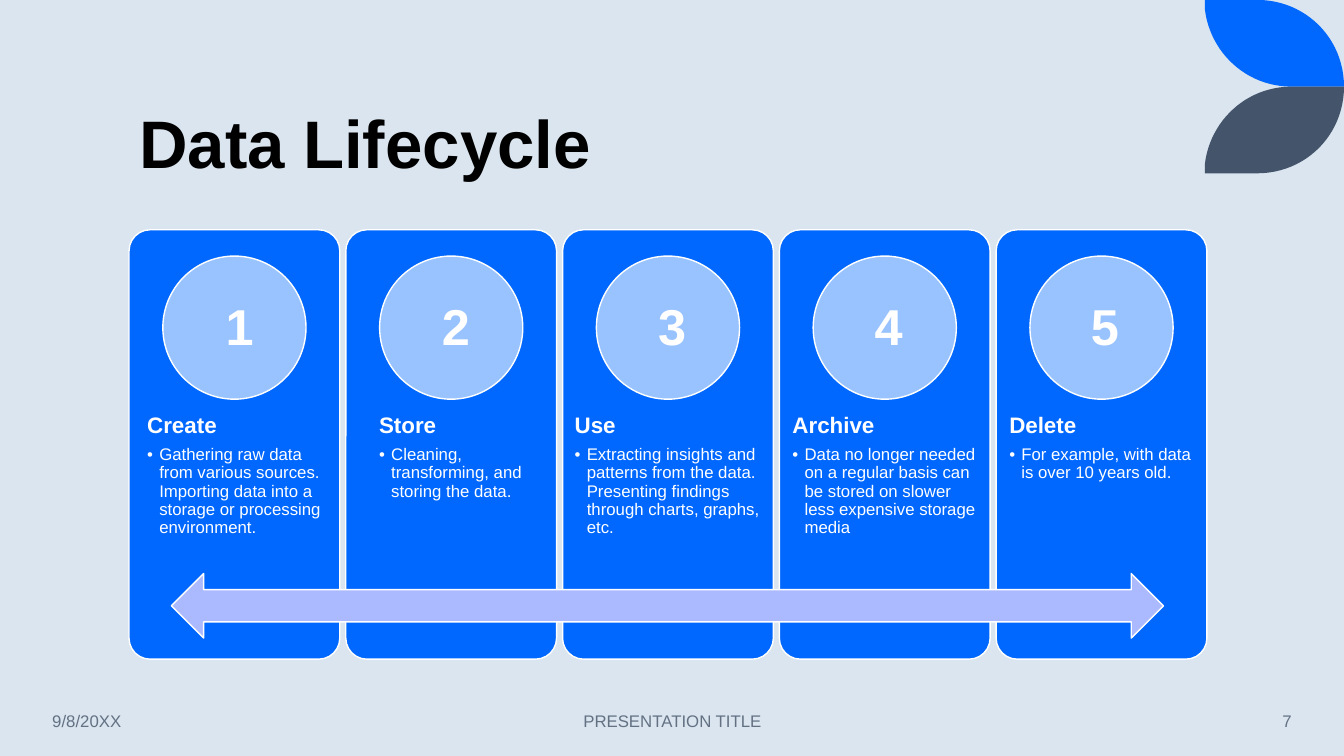
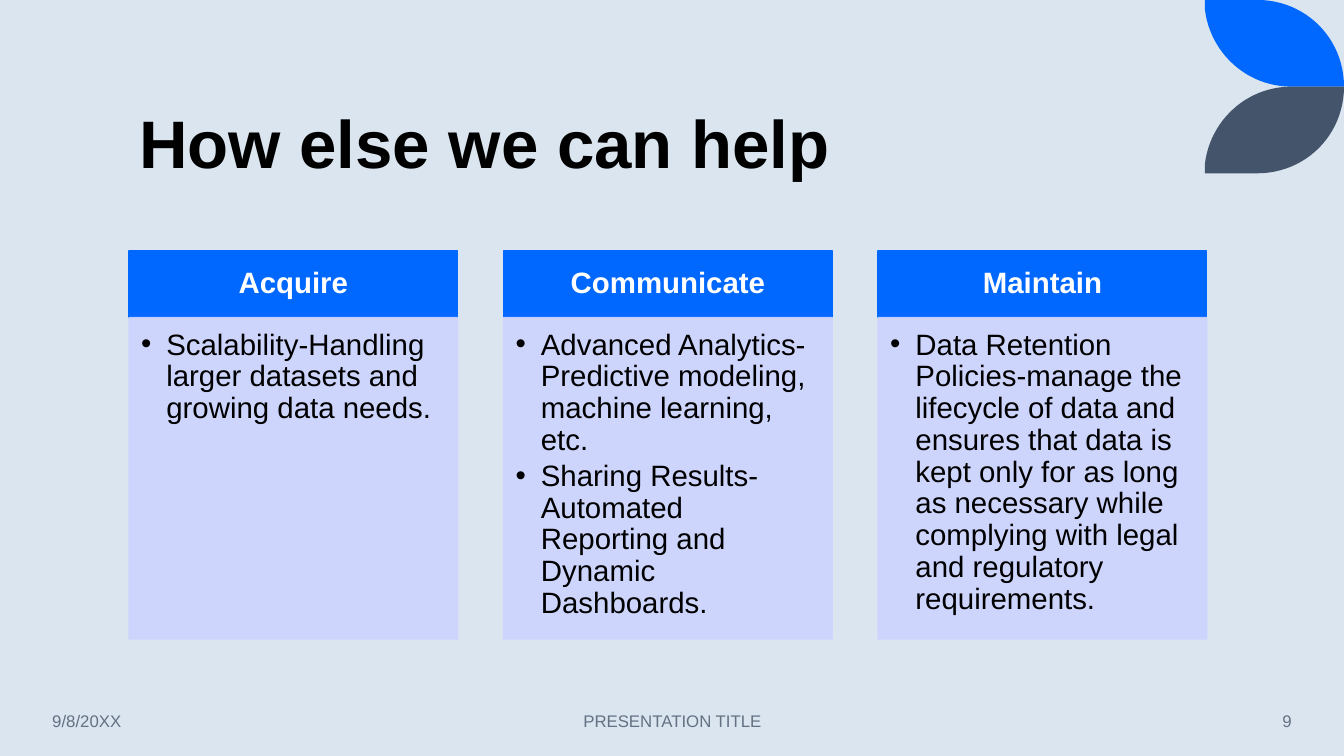
"""Build two slides on the data lifecycle and on further services."""
from lxml import etree
from pptx import Presentation
from pptx.dml.color import RGBColor
from pptx.enum.shapes import MSO_SHAPE
from pptx.enum.text import MSO_ANCHOR, MSO_AUTO_SIZE, PP_ALIGN
from pptx.oxml.ns import qn
from pptx.util import Inches, Pt

TOP, MIDDLE, BOTTOM = MSO_ANCHOR.TOP, MSO_ANCHOR.MIDDLE, MSO_ANCHOR.BOTTOM
LEFT, CENTER, RIGHT = PP_ALIGN.LEFT, PP_ALIGN.CENTER, PP_ALIGN.RIGHT
RECTANGLE, ROUNDED = MSO_SHAPE.RECTANGLE, MSO_SHAPE.ROUNDED_RECTANGLE
OVAL, DOUBLE_ARROW = MSO_SHAPE.OVAL, MSO_SHAPE.LEFT_RIGHT_ARROW

FONT = "Arial"
COLORS = {
    "background": "DAE5EF",
    "blue": "0068FF",
    "slate": "44546A",
    "sky": "99C3FF",
    "periwinkle": "ABB9FF",
    "lavender": "CCD4FF",
    "white": "FFFFFF",
    "black": "000000",
    "footer": "637183",
}

LIFECYCLE_TITLE = "Data Lifecycle"
STAGES = [
    ("Create", "Gathering raw data from various sources. Importing data into a "
     "storage or processing environment.", 0.06),
    ("Store", "Cleaning, transforming, and storing the data.", 0.21),
    ("Use", "Extracting insights and patterns from the data. Presenting findings "
     "through charts, graphs, etc.", 0),
    ("Archive", "Data no longer needed on a regular basis can be stored on slower "
     "less expensive storage media", 0.01),
    ("Delete", "For example, with data is over 10 years old.", 0.01),
]

HELP_TITLE = "How else we can help"
SERVICES = [
    ("Acquire", ["Scalability-Handling larger datasets and growing data needs."]),
    ("Communicate", [
        "Advanced Analytics-Predictive modeling, machine learning, etc.",
        "Sharing Results-Automated Reporting and Dynamic Dashboards.",
    ]),
    ("Maintain", ["Data Retention Policies-manage the lifecycle of data and ensures "
                  "that data is kept only for as long as necessary while complying "
                  "with legal and regulatory requirements."]),
]

FOOTER_DATE = "9/8/20XX"
FOOTER_TITLE = "PRESENTATION TITLE"

SLIDE_WIDTH, SLIDE_HEIGHT = 13.33, 7.5
CONTENT_LEFT, CONTENT_WIDTH = 1.28, 10.69
LEAF_HEIGHT = 0.86
LEAF_START = (11.95, 0)
LEAF_OUTLINE = [
    [(12.47, 0)],
    [(12.95, 0), (13.33, 0.38), (13.33, 0.86)],
    [(12.81, 0.86)],
    [(12.36, 0.86), (12, 0.52), (11.95, 0.09)],
]
CURVE_STEPS = 24


def rgb(name):
    return RGBColor.from_string(COLORS[name])


def column_lefts(count, width):
    pitch = (CONTENT_WIDTH - width) / (count - 1)
    return [CONTENT_LEFT + index * pitch for index in range(count)]


def format_paragraph(para, size, color, bold=False, align=LEFT, spacing=1.0, after=0):
    para.alignment = align
    para.line_spacing = spacing
    para.space_before = Pt(0)
    para.space_after = Pt(after)
    for span in para.runs:
        span.font.name = FONT
        span.font.size = Pt(size)
        span.font.bold = bold
        span.font.color.rgb = rgb(color)


def add_bullet(para, indent):
    properties = para._p.get_or_add_pPr()
    properties.set("marL", str(Inches(indent)))
    properties.set("indent", str(-Inches(indent)))
    etree.SubElement(properties, qn("a:buFont")).set("typeface", FONT)
    etree.SubElement(properties, qn("a:buChar")).set("char", "•")


def set_frame(frame, anchor=TOP, insets=(0.1, 0.05, 0.1, 0.05)):
    frame.word_wrap = True
    frame.auto_size = MSO_AUTO_SIZE.NONE
    frame.vertical_anchor = anchor
    frame.margin_left, frame.margin_top, frame.margin_right, frame.margin_bottom = map(
        Inches, insets)


def add_text(slide, text, area, anchor=TOP, insets=(0.1, 0.05, 0.1, 0.05), **style):
    box = slide.shapes.add_textbox(*map(Inches, area))
    set_frame(box.text_frame, anchor, insets)
    box.text_frame.text = text
    format_paragraph(box.text_frame.paragraphs[0], **style)
    return box


def add_panel(slide, kind, area, fill, line, opacity=None):
    panel = slide.shapes.add_shape(kind, *map(Inches, area))
    panel.shadow.inherit = False
    panel.fill.solid()
    panel.fill.fore_color.rgb = rgb(fill)
    panel.line.color.rgb = rgb(line)
    panel.line.width = Pt(1)
    if opacity is not None:
        for color in panel.element.spPr.iter(qn("a:srgbClr")):
            etree.SubElement(color, qn("a:alpha")).set("val", str(opacity * 1000))
    return panel


def leaf_points():
    points = [LEAF_START]
    for segment in LEAF_OUTLINE:
        if len(segment) == 1:
            points += segment
            continue
        controls = [points[-1], *segment]
        for step in range(1, CURVE_STEPS + 1):
            t = step / CURVE_STEPS
            weights = ((1 - t) ** 3, 3 * t * (1 - t) ** 2, 3 * t * t * (1 - t), t ** 3)
            points.append(tuple(
                sum(weight * point[axis] for weight, point in zip(weights, controls))
                for axis in (0, 1)))
    return points


def add_layout_leaves(layout, slide):
    upper = leaf_points()
    lower = [(x, 2 * LEAF_HEIGHT - y) for x, y in upper]
    for number, (points, color) in enumerate([(upper, "blue"), (lower, "slate")], 20):
        corners = [(Inches(x), Inches(y)) for x, y in points]
        builder = slide.shapes.build_freeform(*corners[0])
        builder.add_line_segments(corners[1:], close=True)
        leaf = builder.convert_to_shape()
        leaf.shadow.inherit = False
        leaf.fill.solid()
        leaf.fill.fore_color.rgb = rgb(color)
        leaf.line.fill.background()
        leaf.element.nvSpPr.cNvPr.set("id", str(number))
        layout.shapes.element.append(leaf.element)


def add_slide(deck, layout, title_text, number):
    slide = deck.slides.add_slide(layout)
    title = slide.shapes.title
    title.left, title.top = Inches(CONTENT_LEFT), Inches(0.15)
    title.width, title.height = Inches(CONTENT_WIDTH), Inches(1.72)
    set_frame(title.text_frame, BOTTOM)
    title.text_frame.text = title_text
    format_paragraph(title.text_frame.paragraphs[0], 48, "black", True, spacing=0.9)
    footers = [
        (FOOTER_DATE, 0.42, 1.86, LEFT),
        (FOOTER_TITLE, 4.42, 4.5, CENTER),
        (str(number), 11.1, 1.81, RIGHT),
    ]
    for text, left, width, align in footers:
        add_text(slide, text, (left, 6.95, width, 0.4), MIDDLE,
                 size=12, color="footer", align=align)
    return slide


def fill_lifecycle(slide):
    card_width, circle = 2.09, 1.42
    number_left, number_pitch = 2.14, (10.72 - 2.14) / (len(STAGES) - 1)
    lefts = column_lefts(len(STAGES), card_width)
    for left, (heading, detail, shift) in zip(lefts, STAGES):
        card = add_panel(slide, ROUNDED, (left, 2.28, card_width, 4.26), "blue", "white")
        card.adjustments[0] = 0.1
        box = add_text(slide, heading, (left, 3.99, card_width, 1.7),
                       insets=(0.12 + shift, 0.12, 0.12, 0.12), size=16,
                       color="white", bold=True, spacing=0.9, after=5.6)
        para = box.text_frame.add_paragraph()
        para.text = detail
        format_paragraph(para, 12, "white", spacing=0.9, after=1.8)
        add_bullet(para, 0.12)
        add_panel(slide, OVAL, (left + (card_width - circle) / 2, 2.54, circle, circle),
                  "sky", "white")
    add_panel(slide, DOUBLE_ARROW, (1.7, 5.69, 9.84, 0.64), "periwinkle", "white")
    for index in range(len(STAGES)):
        add_text(slide, str(index + 1),
                 (number_left + index * number_pitch, 2.88, 0.38, 0.71),
                 size=36, color="white", bold=True, align=CENTER)


def fill_services(slide):
    width, top, header_height = 3.26, 2.49, 0.66
    for left, (heading, details) in zip(column_lefts(len(SERVICES), width), SERVICES):
        header = add_panel(slide, RECTANGLE, (left, top, width, header_height),
                           "blue", "blue")
        set_frame(header.text_frame, MIDDLE, (0.16, 0.09, 0.16, 0.09))
        header.text_frame.text = heading
        format_paragraph(header.text_frame.paragraphs[0], 21, "white", True, CENTER, 0.9)
        body = add_panel(slide, RECTANGLE, (left, top + header_height, width, 3.19),
                         "lavender", "lavender", opacity=90)
        frame = body.text_frame
        set_frame(frame, TOP, (0.12, 0.12, 0.16, 0.18))
        frame.text = "\n".join(details)
        for para in frame.paragraphs:
            format_paragraph(para, 21, "black", spacing=0.9, after=3.15)
            add_bullet(para, 0.25)


def main():
    deck = Presentation()
    deck.slide_width, deck.slide_height = Inches(SLIDE_WIDTH), Inches(SLIDE_HEIGHT)
    background = deck.slide_master.background.fill
    background.solid()
    background.fore_color.rgb = rgb("background")
    layout = deck.slide_layouts.get_by_name("Title Only")
    lifecycle = add_slide(deck, layout, LIFECYCLE_TITLE, 7)
    add_layout_leaves(layout, lifecycle)
    fill_lifecycle(lifecycle)
    fill_services(add_slide(deck, layout, HELP_TITLE, 9))
    deck.save("out.pptx")


if __name__ == "__main__":
    main()
